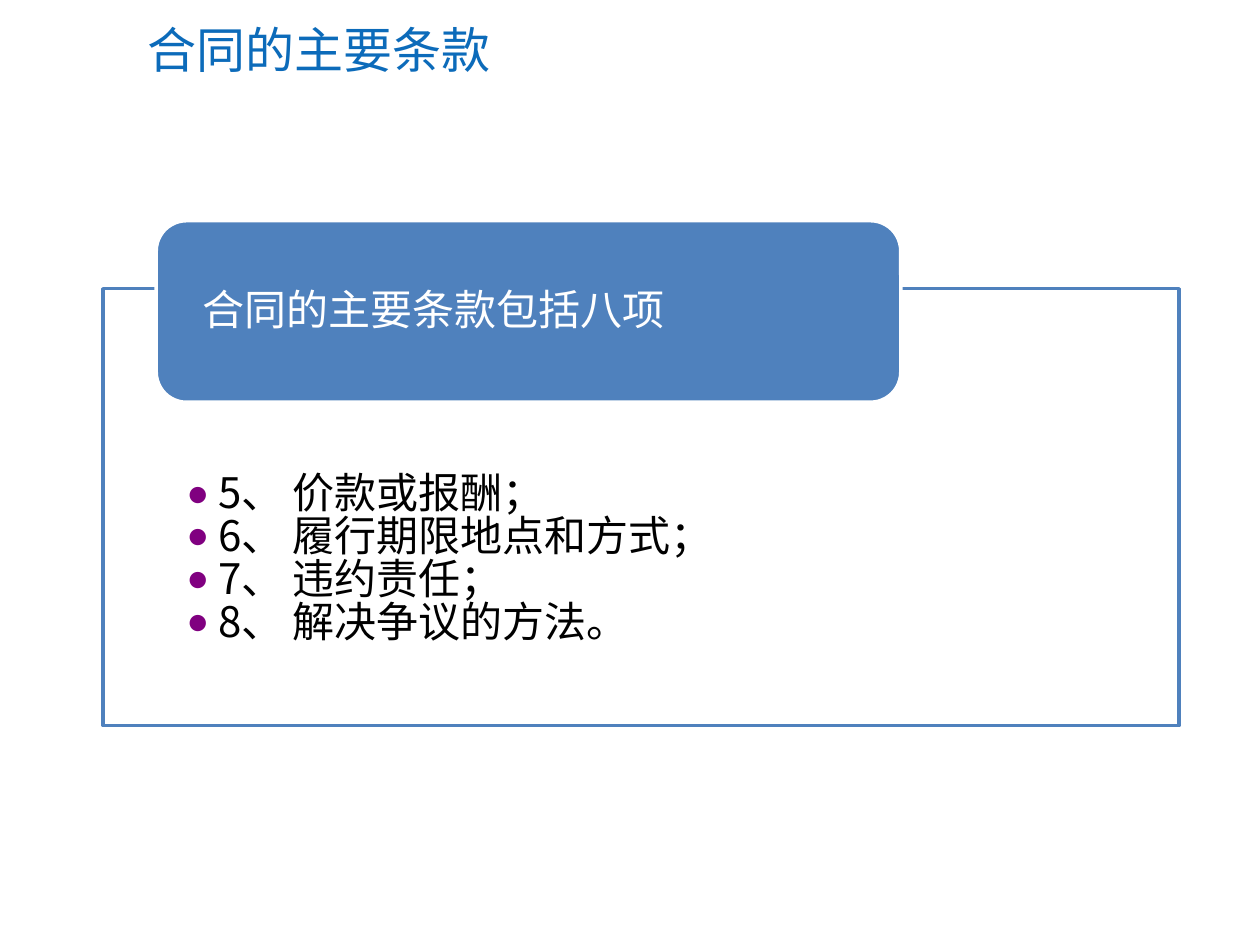
"""Build the slide on the main terms of a contract."""
import pptx
import pptx.dml.color
import pptx.enum.shapes
import pptx.enum.text
import pptx.oxml.ns
import pptx.util
import lxml.etree

Cm = pptx.util.Cm
Pt = pptx.util.Pt
qn = pptx.oxml.ns.qn
SHAPES = pptx.enum.shapes.MSO_SHAPE
ANCHORS = pptx.enum.text.MSO_ANCHOR

THEME = {
    "title": "0C6BBA", "accent": "4F81BD", "paper": "FFFFFF",
    "ink": "000000", "bullet": "800080",
    "title_size": Pt(28), "body_size": Pt(24), "line": Pt(2),
    "latin": "Calibri", "cjk": "Noto Sans CJK SC",
}


def rgb(name):
    return pptx.dml.color.RGBColor.from_string(THEME[name])


def write(shape, lines, font_values, frame_values, paragraph_values):
    frame = shape.text_frame
    for name, value in frame_values.items():
        setattr(frame, name, value)
    frame.text = "\n".join(lines)
    for paragraph in frame.paragraphs:
        paragraph.alignment = pptx.enum.text.PP_ALIGN.LEFT
        for name, value in paragraph_values.items():
            setattr(paragraph, name, value)
        run = paragraph.runs[0]
        run.font.color.rgb = rgb(font_values["color"])
        for name in ("size", "name"):
            setattr(run.font, name, THEME[font_values[name]])
        east_asian = lxml.etree.SubElement(run.font._element, qn("a:ea"))
        east_asian.set("typeface", THEME["cjk"])


presentation = pptx.Presentation()
presentation.slide_width = Cm(25.4)
presentation.slide_height = Cm(19.05)
slide = presentation.slides.add_slide(presentation.slide_layouts[6])

title = slide.shapes.add_textbox(Cm(2.51), Cm(0.25), Cm(22.15), Cm(1.47))
write(
    title, [" 合同的主要条款"],
    {"color": "title", "size": "title_size", "name": "latin"},
    {"word_wrap": True, "vertical_anchor": ANCHORS.MIDDLE}, {},
)

panel = slide.shapes.add_shape(SHAPES.RECTANGLE, Cm(2.08), Cm(5.82), Cm(21.69), Cm(8.81))
heading = slide.shapes.add_shape(SHAPES.ROUNDED_RECTANGLE, Cm(3.15), Cm(4.45), Cm(15.01), Cm(3.66))

for shape, fill, line in ((panel, "paper", "accent"), (heading, "accent", "paper")):
    shape.shadow.inherit = False
    shape.fill.solid()
    shape.fill.fore_color.rgb = rgb(fill)
    shape.line.color.rgb = rgb(line)
    shape.line.width = THEME["line"]

panel_color = panel._element.spPr.find(qn("a:solidFill")).find(qn("a:srgbClr"))
lxml.etree.SubElement(panel_color, qn("a:alpha")).set("val", "90000")

terms = ["价款或报酬；", "履行期限地点和方式；", "违约责任；", "解决争议的方法。"]
write(
    panel, [f"{number}、 {term}" for number, term in enumerate(terms, 5)],
    {"color": "ink", "size": "body_size", "name": "cjk"},
    {"word_wrap": True, "vertical_anchor": ANCHORS.TOP,
     "margin_left": Cm(1.68), "margin_right": Cm(1.68),
     "margin_top": Cm(3.75), "margin_bottom": Cm(0.48)},
    {"level": 1, "line_spacing": 0.85},
)
for paragraph in panel.text_frame.paragraphs:
    properties = paragraph._p.get_or_add_pPr()
    properties.set("marL", str(Cm(0.64)))
    properties.set("indent", str(-Cm(0.64)))
    bullet_color = lxml.etree.SubElement(properties, qn("a:buClr"))
    lxml.etree.SubElement(bullet_color, qn("a:srgbClr")).set("val", THEME["bullet"])
    for tag, attribute, value in (
        ("a:buSzPct", "val", "110000"),
        ("a:buFont", "typeface", THEME["latin"]),
        ("a:buChar", "char", "•"),
    ):
        lxml.etree.SubElement(properties, qn(tag)).set(attribute, value)

write(
    heading, ["合同的主要条款包括八项"],
    {"color": "paper", "size": "body_size", "name": "latin"},
    {"word_wrap": True, "vertical_anchor": ANCHORS.MIDDLE,
     "margin_left": Cm(0.76), "margin_right": Cm(0.76),
     "margin_top": Cm(0.18), "margin_bottom": Cm(0.18)},
    {"line_spacing": 0.9},
)

presentation.save("out.pptx")
